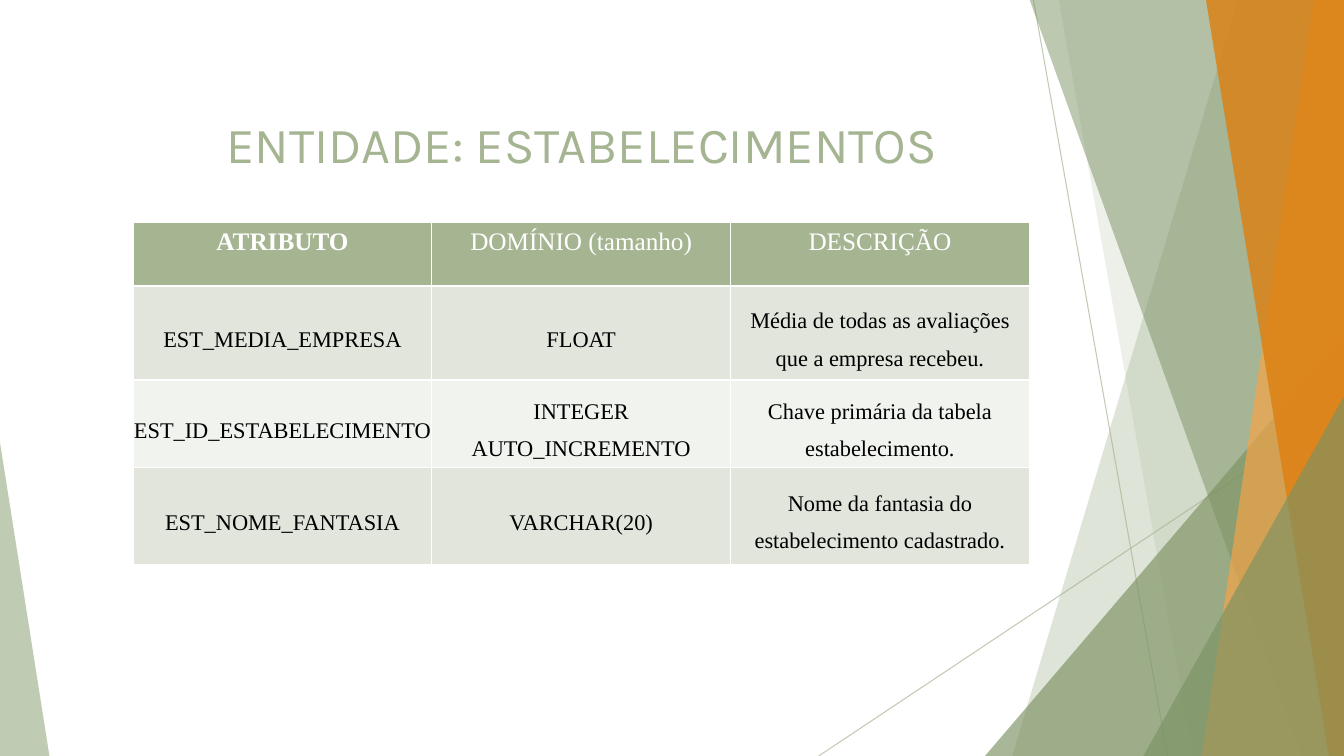
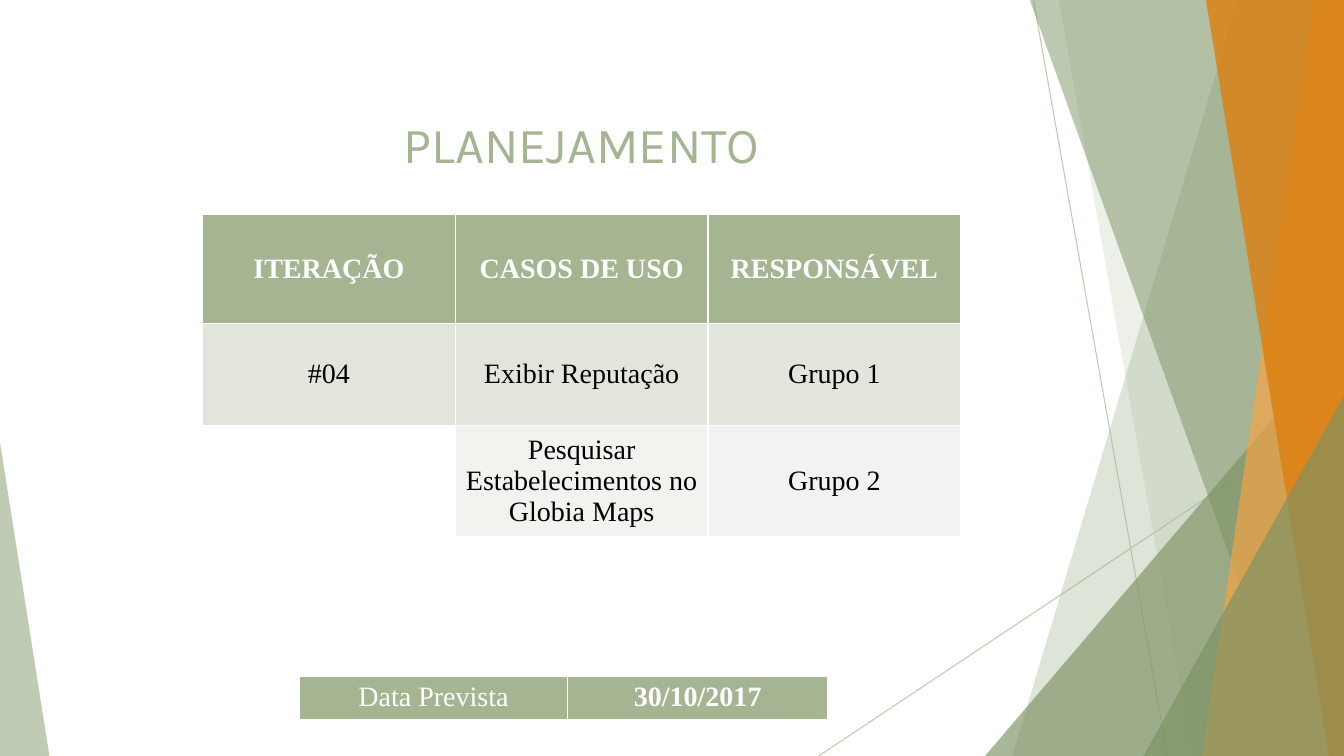
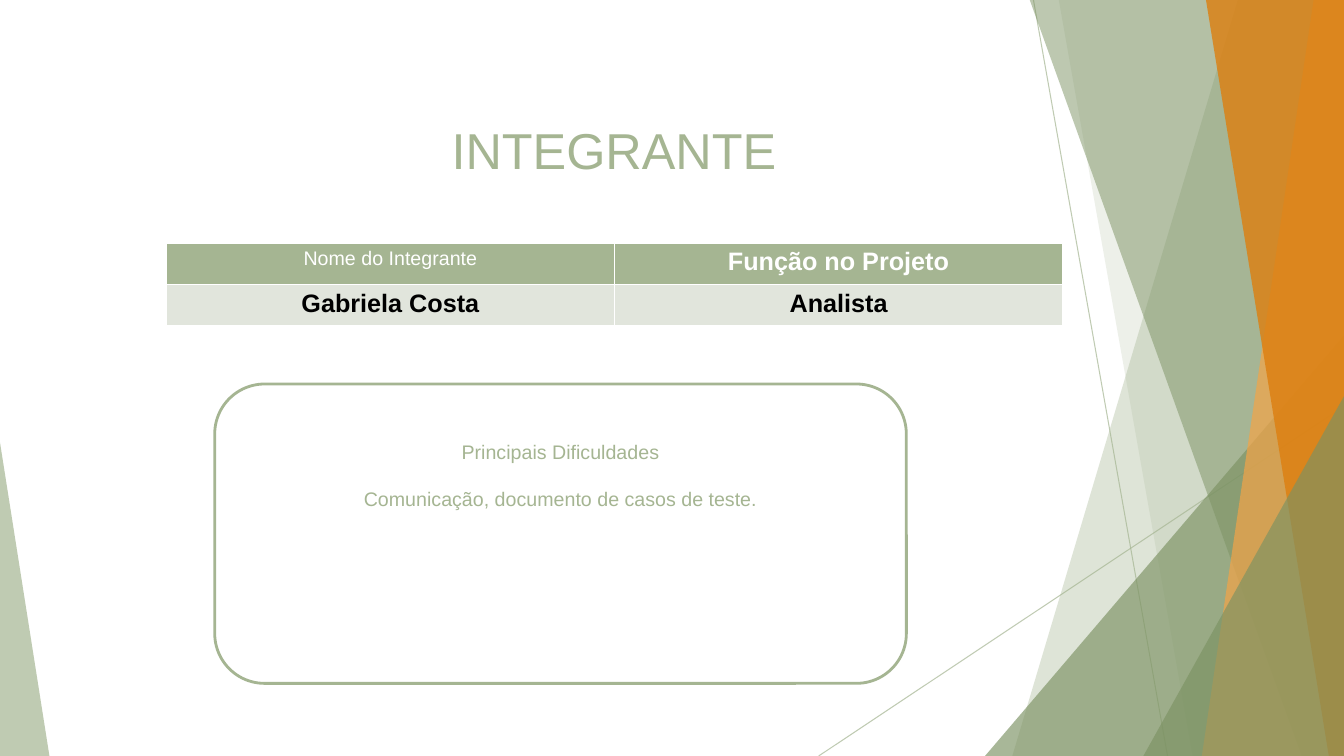
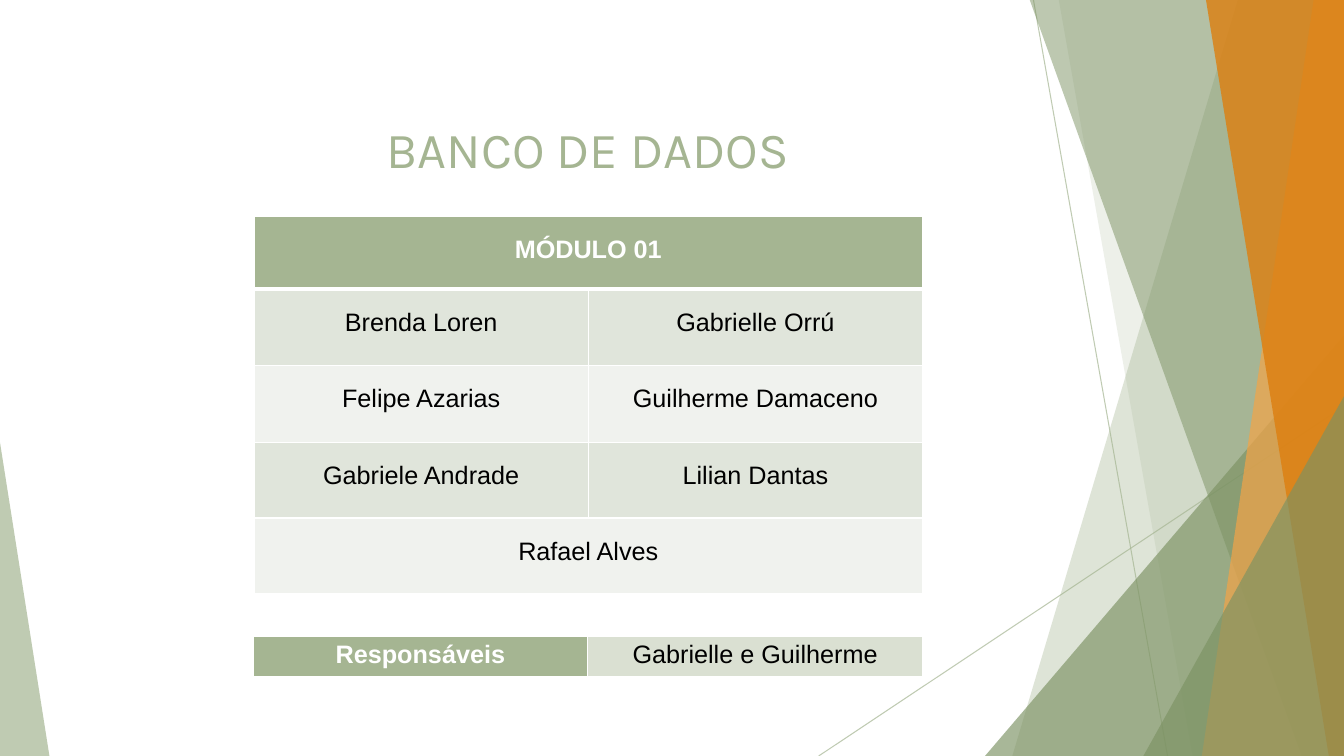
from lxml import etree
from pptx import Presentation
from pptx.dml.color import RGBColor
from pptx.enum.shapes import MSO_CONNECTOR, MSO_SHAPE
from pptx.enum.text import MSO_ANCHOR, PP_ALIGN
from pptx.oxml.ns import qn
from pptx.util import Inches, Pt

TRIANGLE = MSO_SHAPE.ISOSCELES_TRIANGLE
ROUNDED = MSO_SHAPE.ROUNDED_RECTANGLE
STRAIGHT = MSO_CONNECTOR.STRAIGHT
TOP, MIDDLE = MSO_ANCHOR.TOP, MSO_ANCHOR.MIDDLE
CENTER = PP_ALIGN.CENTER

WIDTH, HEIGHT = 13.33, 7.5
BAND_TOP = -0.01
SAGE, MOSS, AMBER, ORANGE = "A5B592", "7C9263", "F3A447", "DD7E0E"
WHITE, BLACK = "FFFFFF", "000000"
BANDS = ("E1E5DC", "F0F3EE")
SERIF, SANS, TITLE_FONT = "Times New Roman", "Arial", "Karla"

RAYS = [((10.25, 0), (11.58, HEIGHT)), ((WIDTH, 4.03), (8.12, HEIGHT))]
FACETS = [
    ("band", (12.28, 10.04), SAGE, 36),
    ("band", (10.5, 11.83), SAGE, 20),
    ("triangle", (9.77, 3.33, 3.56, 1), MOSS, 66),
    ("band", (10.21, 12.91), MOSS, 50),
    ("band", (13.03, 11.92), AMBER, 70),
    ("band", (11.96, 13.18), ORANGE, 80),
    ("triangle", (11.34, 3.93, 1.99, 1), MOSS, 66),
    ("triangle", (0, 4.39, 0.49, 0), SAGE, 70),
]

SLIDES = [
    {
        "title": ("ENTIDADE: ESTABELECIMENTOS", TITLE_FONT, 5.77, 1.07),
        "tables": [{
            "at": (1.32, 2.21), "width": 8.89, "shares": (1, 1, 1),
            "rows": (0.63, 0.93, 0.87, 0.96),
            "font": SERIF, "size": 16, "header_size": 18, "bold": {(0, 0)},
            "anchor": MIDDLE, "header_anchor": TOP, "spacing": 1.5,
            "margins": (0, 0.06), "rule": 2,
            "cells": [
                ("ATRIBUTO", "DOMÍNIO (tamanho)", "DESCRIÇÃO"),
                ("EST_MEDIA_EMPRESA", "FLOAT",
                 "Média de todas as avaliações que a empresa recebeu."),
                ("EST_ID_ESTABELECIMENTO", "INTEGER AUTO_INCREMENTO",
                 "Chave primária da tabela estabelecimento."),
                ("EST_NOME_FANTASIA", "VARCHAR(20)",
                 "Nome da fantasia do estabelecimento cadastrado."),
            ],
        }],
    },
    {
        "title": ("PLANEJAMENTO", TITLE_FONT, 5.77, 1.07),
        "tables": [
            {
                "at": (2.01, 2.13), "width": 7.52, "shares": (1, 1, 1),
                "rows": (1.08, 1.01, 0.57, 0.53, 0.34, 0.22, 0.57),
                "font": SERIF, "size": 20, "bold": {(0, 0), (0, 1), (0, 2)},
                "anchor": MIDDLE, "header_anchor": MIDDLE,
                "fills": {(2, 0): WHITE, (3, 0): WHITE, (5, 0): WHITE,
                          (2, 2): "F2F2F2", (4, 1): None, (4, 2): None,
                          (6, 1): None},
                "spans": {(2, 1): (2, 1), (2, 2): (2, 1), (3, 0): (2, 1),
                          (4, 1): (2, 1), (4, 2): (3, 1), (5, 0): (2, 1)},
                "cells": [
                    ("ITERAÇÃO", "CASOS DE USO", "RESPONSÁVEL"),
                    ("#04", "Exibir Reputação", "Grupo 1"),
                    ("", "Pesquisar Estabelecimentos no Globia Maps", "Grupo 2"),
                ],
            },
            {
                "at": (2.97, 6.71), "width": 5.24, "shares": (2.66, 2.58),
                "rows": (0.43,), "font": SERIF, "size": 20, "bold": {(0, 1)},
                "cells": [("Data Prevista", "30/10/2017")],
            },
        ],
    },
    {
        "title": ("INTEGRANTE", SANS, 6.09, 1.13),
        "tables": [{
            "at": (1.65, 2.41), "width": 8.89, "shares": (1, 1),
            "rows": (0.41, 0.41), "font": SANS, "size": 18,
            "sizes": {(0, 0): 14}, "bold": {(0, 1), (1, 0), (1, 1)},
            "cells": [
                ("Nome do Integrante", "Função no Projeto"),
                ("Gabriela Costa", "Analista"),
            ],
        }],
        "panel": ("Principais Dificuldades",
                  "Comunicação, documento de casos de teste."),
    },
    {
        "title": ("BANCO DE DADOS", TITLE_FONT, 5.83, 1.12),
        "tables": [
            {
                "at": (2.52, 2.15), "width": 6.63, "shares": (1, 1),
                "rows": (0.72, 0.76, 0.76, 0.75, 0.75),
                "font": SANS, "size": 18, "bold": {(0, 0)},
                "spacing": 1.5, "rule": 3, "bands": ("E0E5DB", "F0F2EE"),
                "spans": {(0, 0): (1, 2), (4, 0): (1, 2)},
                "cells": [
                    ("MÓDULO 01",),
                    ("Brenda Loren", "Gabrielle Orrú"),
                    ("Felipe Azarias", "Guilherme Damaceno"),
                    ("Gabriele Andrade", "Lilian Dantas"),
                    ("Rafael Alves",),
                ],
            },
            {
                "at": (2.51, 6.31), "width": 6.64, "shares": (1, 1),
                "rows": (0.4,), "font": SANS, "size": 18, "bold": {(0, 0)},
                "fills": {(0, 1): "DAE0D2"},
                "cells": [("Responsáveis", "Gabrielle e Guilherme")],
            },
        ],
    },
]


def rgb(color):
    return RGBColor.from_string(color)


def set_opacity(element, percent):
    for color in element.iter(qn("a:srgbClr")):
        etree.SubElement(color, qn("a:alpha")).set("val", str(percent * 1000))


def style_text(paragraph, font, size, color, bold=False):
    paragraph.alignment = CENTER
    for span in paragraph.runs:
        span.font.name = font
        span.font.size = Pt(size)
        span.font.bold = bold
        span.font.color.rgb = rgb(color)


def add_facet(page, kind, geometry, color, opacity):
    if kind == "band":
        upper, lower = geometry
        corners = [(upper, BAND_TOP), (WIDTH, BAND_TOP),
                   (WIDTH, HEIGHT), (lower, HEIGHT)]
        start, *others = [(Inches(x), Inches(y)) for x, y in corners]
        builder = page.shapes.build_freeform(*start)
        builder.add_line_segments(others)
        facet = builder.convert_to_shape()
    else:
        left, top, width, apex = geometry
        facet = page.shapes.add_shape(TRIANGLE, Inches(left), Inches(top),
                                      Inches(width), Inches(HEIGHT - top))
        facet.adjustments[0] = apex
    facet.shadow.inherit = False
    facet.fill.solid()
    facet.fill.fore_color.rgb = rgb(color)
    facet.line.fill.background()
    set_opacity(facet.element, opacity)


def add_backdrop(page):
    for start, end in RAYS:
        ray = page.shapes.add_connector(STRAIGHT, *map(Inches, start + end))
        ray.line.color.rgb = rgb(SAGE)
        ray.line.width = Pt(0.75)
        set_opacity(ray.element, 70)
        etree.SubElement(ray.element.spPr, qn("a:effectLst"))
    for facet in FACETS:
        add_facet(page, *facet)


def add_title(page, text, font, center, top):
    width = 10.6
    box = page.shapes.add_textbox(Inches(center - width / 2), Inches(top),
                                  Inches(width), Inches(0.71))
    frame = box.text_frame
    frame.word_wrap = True
    frame.vertical_anchor = MIDDLE
    frame.text = text
    style_text(frame.paragraphs[0], font, 36, SAGE)


def set_borders(cell, top, bottom):
    properties = cell._tc.get_or_add_tcPr()
    sides = (("L", 1), ("R", 1), ("T", top), ("B", bottom))
    for index, (side, points) in enumerate(sides):
        border = etree.Element(qn("a:ln" + side), w=str(Pt(points)))
        fill = etree.SubElement(border, qn("a:solidFill"))
        etree.SubElement(fill, qn("a:srgbClr"), val=WHITE)
        properties.insert(index, border)


def paint_cell(cell, row, column, data):
    bands = data.get("bands", BANDS)
    band = SAGE if row == 0 else bands[(row - 1) % 2]
    color = data.get("fills", {}).get((row, column), band)
    if color:
        cell.fill.solid()
        cell.fill.fore_color.rgb = rgb(color)
        rule = data.get("rule", 1)
        set_borders(cell, rule if row == 1 else 1, rule if row == 0 else 1)
    else:
        cell.fill.background()
    return color


def write_cell(cell, text, row, column, data, color):
    header = row == 0
    cell.vertical_anchor = data.get("header_anchor" if header else "anchor", TOP)
    if not header and "margins" in data:
        narrow, wide = data["margins"]
        side = wide if column == len(data["shares"]) - 1 else narrow
        cell.margin_left = cell.margin_right = Inches(side)
        cell.margin_top = Inches(0.01)
        cell.margin_bottom = 0
    cell.text_frame.text = text
    paragraph = cell.text_frame.paragraphs[0]
    if not (header and "header_size" in data):
        paragraph.line_spacing = data.get("spacing", 1.0)
    size = data.get("header_size", data["size"]) if header else data["size"]
    size = data.get("sizes", {}).get((row, column), size)
    style_text(paragraph, data["font"], size,
               WHITE if color == SAGE else BLACK, (row, column) in data["bold"])


def add_grid(page, data):
    rows, shares, texts = data["rows"], data["shares"], data["cells"]
    left, top = data["at"]
    table = page.shapes.add_table(
        len(rows), len(shares), Inches(left), Inches(top),
        Inches(data["width"]), Inches(sum(rows))).table
    table.first_row = table.horz_banding = False
    for column, share in zip(table.columns, shares):
        column.width = Inches(data["width"] * share / sum(shares))
    for row, height in enumerate(rows):
        table.rows[row].height = Inches(height)
        line = texts[row] if row < len(texts) else ()
        for column in range(len(shares)):
            cell = table.cell(row, column)
            color = paint_cell(cell, row, column, data)
            if column < len(line) and line[column]:
                write_cell(cell, line[column], row, column, data, color)
    for (row, column), (down, across) in data.get("spans", {}).items():
        last = table.cell(row + down - 1, column + across - 1)
        table.cell(row, column).merge(last)


def add_panel(page, lines):
    panel = page.shapes.add_shape(ROUNDED, Inches(2.13), Inches(3.81),
                                  Inches(6.86), Inches(2.97))
    panel.shadow.inherit = False
    panel.fill.solid()
    panel.fill.fore_color.rgb = rgb(WHITE)
    panel.line.color.rgb = rgb(SAGE)
    panel.line.width = Pt(2)
    frame = panel.text_frame
    frame.word_wrap = True
    frame.vertical_anchor = TOP
    frame.margin_top = Inches(0.41)
    frame.text = "\n".join(lines)
    for index, paragraph in enumerate(frame.paragraphs):
        if index:
            paragraph.space_before = Pt(17)
        style_text(paragraph, SANS, 14, SAGE)


def main():
    deck = Presentation()
    deck.slide_width, deck.slide_height = Inches(WIDTH), Inches(HEIGHT)
    blank = deck.slide_layouts[6]
    for content in SLIDES:
        page = deck.slides.add_slide(blank)
        add_backdrop(page)
        add_title(page, *content["title"])
        for data in content["tables"]:
            add_grid(page, data)
        if "panel" in content:
            add_panel(page, content["panel"])
    deck.save("out.pptx")


if __name__ == "__main__":
    main()
